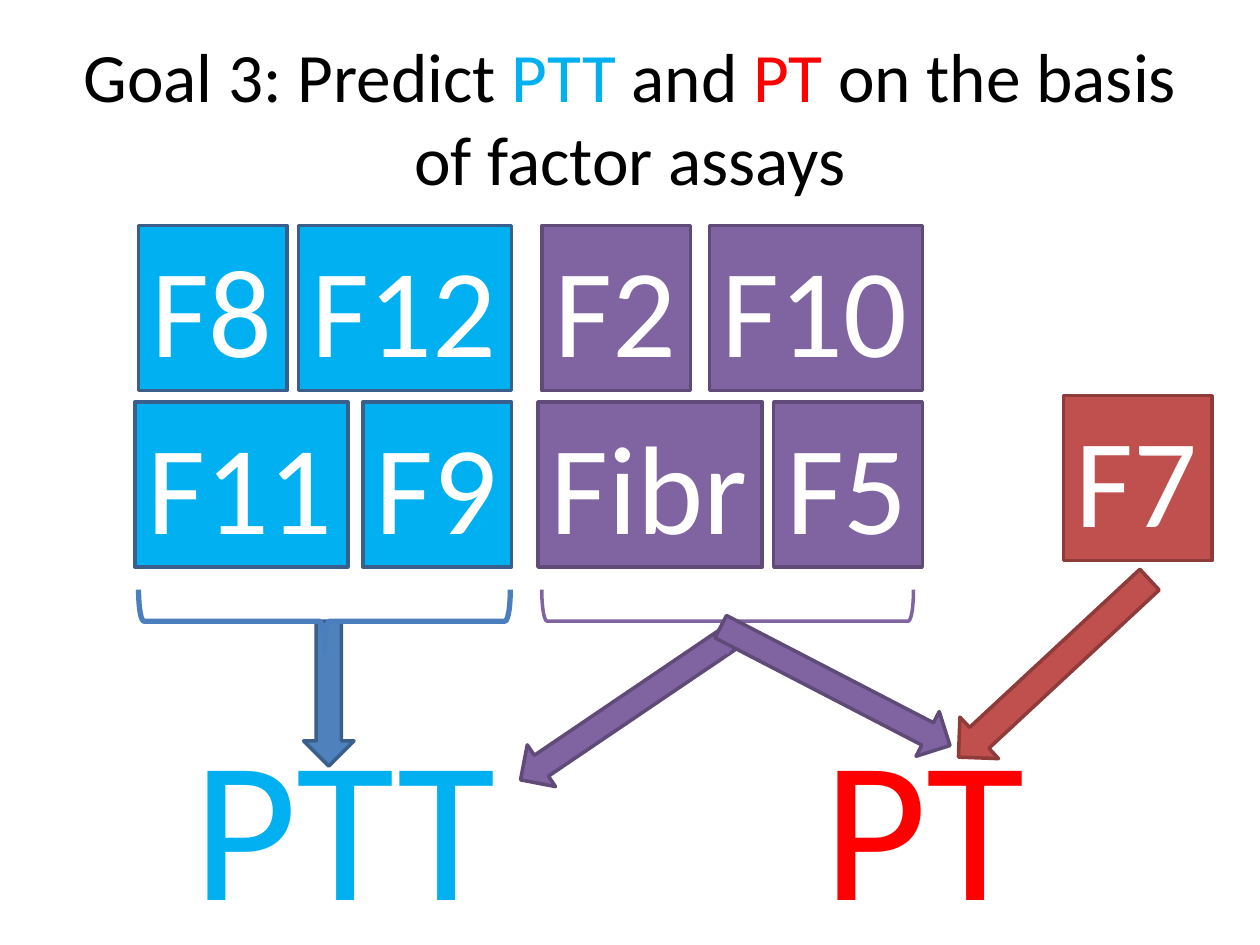
import pptx
import pptx.util
import pptx.dml.color
import pptx.enum.shapes
import pptx.enum.text

SHAPE = pptx.enum.shapes.MSO_SHAPE
ANCHOR = pptx.enum.text.MSO_ANCHOR
ALIGN = pptx.enum.text.PP_ALIGN
AUTO = pptx.enum.text.MSO_AUTO_SIZE

COLORS = {
    "black": "000000", "white": "FFFFFF",
    "sky": "00B0F0", "blue": "4F81BD", "blue_edge": "3A5F8C", "blue_brace": "4B7EBC",
    "purple": "8064A2", "purple_edge": "5F4A78",
    "brick": "C0504D", "brick_edge": "8E3B39", "red": "FF0000",
}
FONT = "Calibri"
COLS, ROWS = 100, 75
CARD_H = 13.1
CARD_W = {"Fibr": 17.8, "F10": 16.9, "F11": 16.9, "F12": 16.9}
SHORT_CARD_W = 11.8

prs = pptx.Presentation()
prs.slide_width = pptx.util.Inches(10)
prs.slide_height = pptx.util.Inches(7.5)
s = prs.slides.add_slide(prs.slide_layouts[6])


def grid(box):
    x, y, w, h = box
    col, row = prs.slide_width / COLS, prs.slide_height / ROWS
    return [round(v) for v in (x * col, y * row, w * col, h * row)]


def rgb(name):
    return pptx.dml.color.RGBColor.from_string(COLORS[name])


def write(sp, runs, size, wrap=False):
    tf = sp.text_frame
    tf.word_wrap = wrap
    tf.auto_size = AUTO.NONE if wrap else AUTO.SHAPE_TO_FIT_TEXT
    tf.vertical_anchor = ANCHOR.MIDDLE if wrap else ANCHOR.TOP
    p = tf.paragraphs[0]
    p.alignment = ALIGN.CENTER if wrap else ALIGN.LEFT
    for text, color in runs:
        r = p.add_run()
        r.text = text
        r.font.name = FONT
        r.font.size = pptx.util.Pt(size)
        r.font.color.rgb = rgb(color)


def label(box, runs, size, wrap=False):
    write(s.shapes.add_textbox(*grid(box)), runs, size, wrap)


def shape(kind, box, fill, line, width=2, rotation=0):
    sp = s.shapes.add_shape(kind, *grid(box))
    sp.shadow.inherit = False
    sp.rotation = rotation
    if fill:
        sp.fill.solid()
        sp.fill.fore_color.rgb = rgb(fill)
    else:
        sp.fill.background()
    sp.line.color.rgb = rgb(line)
    sp.line.width = pptx.util.Pt(width)
    return sp


def card(x, y, name, fill, edge):
    box = (x, y, CARD_W.get(name, SHORT_CARD_W), CARD_H)
    write(shape(SHAPE.RECTANGLE, box, fill, edge), [(name, "white")], 72)


def factor_group(box, pairs, fill, edge):
    x, y, w, h = box
    for (first, last), indent, top in zip(pairs, (0.3, 0), (y, y + h - CARD_H)):
        card(x + indent, top, first, fill, edge)
        card(x + w - CARD_W.get(last, SHORT_CARD_W), top, last, fill, edge)


def brace_below(box, fill, line, width):
    x, y, w, h = box
    upright = (x + (w - h) / 2, y + (h - w) / 2, h, w)
    shape(SHAPE.LEFT_BRACE, upright, fill, line, width, 270)


def arrow(box, color, rotation=0):
    shape(SHAPE.DOWN_ARROW, box, color, color + "_edge", rotation=rotation)


def build():
    arrow((81.4, 42.7, 4.5, 20.7), "brick", 47.1)
    arrow((24.1, 49.3, 4, 11.5), "blue")
    label((5, 3, 90, 12.5), [
        ("Goal 3: Predict ", "black"), ("PTT", "sky"), (" and ", "black"),
        ("PT", "red"), (" on the basis of factor assays", "black"),
    ], 39.6, wrap=True)
    label((14.4, 55, 26.2, 20.4), [("PTT", "sky")], 115)
    label((64.4, 55, 18.1, 20.4), [("PT", "red")], 115)

    card(84.4, 31.4, "F7", "brick", "brick_edge")
    factor_group((10.7, 17.9, 29.9, 27.1), [("F8", "F12"), ("F11", "F9")],
                 "sky", "blue_edge")
    factor_group((42.7, 17.9, 30.5, 27.1), [("F2", "F10"), ("Fibr", "F5")],
                 "purple", "purple_edge")

    brace_below((11, 46.8, 29.5, 5), None, "blue_brace", 3)
    arrow((47.8, 45.9, 4, 20.5), "purple", 55.9)
    brace_below((43, 46.8, 29.5, 5), "white", "purple", 2)
    arrow((64.3, 44.2, 4, 20.5), "purple", 297.4)


if __name__ == "__main__":
    build()
    prs.save("out.pptx")
